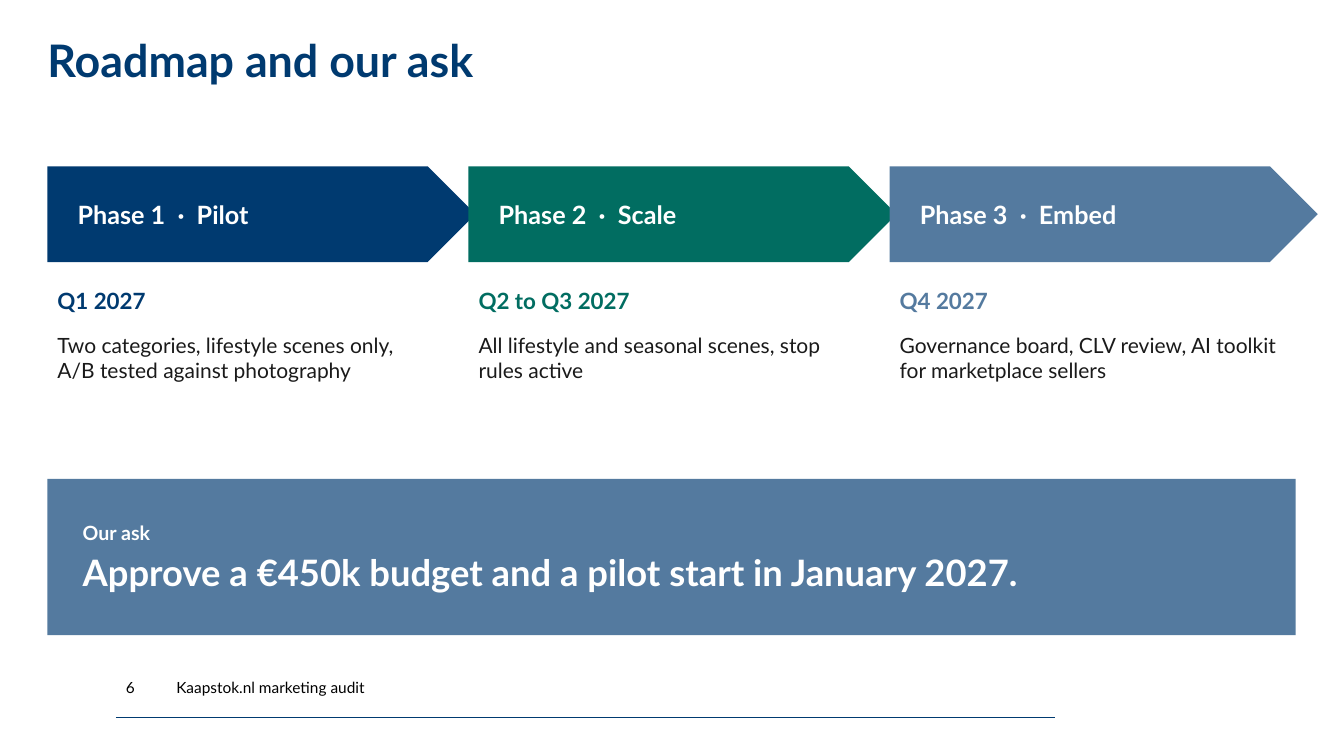
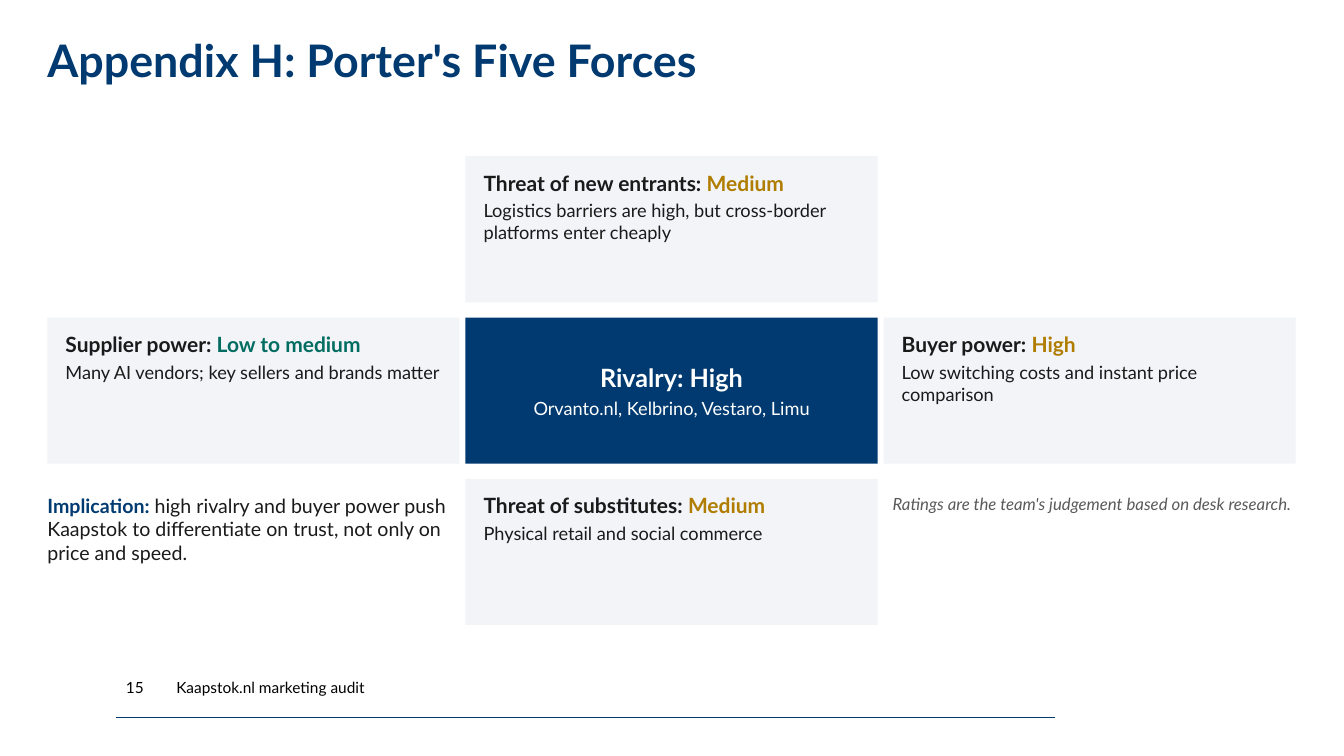
import pptx
import pptx.util
import pptx.dml.color
import pptx.enum.shapes
import pptx.enum.text
import pptx.oxml.ns
import lxml.etree

PX = 9144
FONT = "Lato"
COLORS = {
    "navy": "003A70", "green": "016D61", "steel": "547A9F", "amber": "B07D00",
    "pale": "F2F4F8", "ink": "1A1A1A", "grey": "5A5A5A", "black": "000000",
    "white": "FFFFFF",
}
SHAPES = pptx.enum.shapes.MSO_SHAPE
TOP = pptx.enum.text.MSO_ANCHOR.TOP
MIDDLE = pptx.enum.text.MSO_ANCHOR.MIDDLE
LEFT = pptx.enum.text.PP_ALIGN.LEFT
CENTER = pptx.enum.text.PP_ALIGN.CENTER
FIT_NONE = pptx.enum.text.MSO_AUTO_SIZE.NONE
FIT_SHAPE = pptx.enum.text.MSO_AUTO_SIZE.SHAPE_TO_FIT_TEXT

MARGIN = 47
CONTENT_WIDTH = 1239


def px(*lengths):
    """Turn pixel lengths into EMU."""
    return [pptx.util.Emu(length * PX) for length in lengths]


def rgb(name):
    """Look up a palette colour."""
    return pptx.dml.color.RGBColor.from_string(COLORS[name])


def run(text, size, color, bold=False, italic=False):
    """Describe one run of text."""
    return text, size, color, bold, italic


def write(shape, paras, inset=(0, 0), anchor=TOP, align=LEFT, gap=0, fit=FIT_NONE):
    """Write paragraphs, each a list of runs, with a gap in points between them."""
    frame = shape.text_frame
    frame.word_wrap = True
    frame.auto_size = fit
    frame.vertical_anchor = anchor
    frame.margin_left = frame.margin_right = px(inset[0])[0]
    frame.margin_top = frame.margin_bottom = px(inset[1])[0]
    for index, runs in enumerate(paras):
        para = frame.add_paragraph() if index else frame.paragraphs[0]
        para.alignment = align
        if index < len(paras) - 1:
            para.space_after = pptx.util.Pt(gap)
        for text, size, color, bold, italic in runs:
            span = para.add_run()
            span.text = text
            span.font.name = FONT
            span.font.size = pptx.util.Pt(size)
            span.font.bold = bold
            span.font.italic = italic
            span.font.color.rgb = rgb(color)


def add_text(page, box, paras, **style):
    """Add a text box."""
    write(page.shapes.add_textbox(*px(*box)), paras, **style)


def add_note(page, box, runs):
    """Add a one-paragraph text box that grows with its text."""
    add_text(page, box, [runs], inset=(0, 5), fit=FIT_SHAPE)


def add_panel(page, box, fill, paras, kind=SHAPES.RECTANGLE, **style):
    """Add a flat filled shape with text."""
    panel = page.shapes.add_shape(kind, *px(*box))
    panel.shadow.inherit = False
    panel.fill.solid()
    panel.fill.fore_color.rgb = rgb(fill)
    panel.line.fill.background()
    write(panel, paras, **style)


def add_footer(page, box, number):
    """Add the page number, the deck name and the rule below them."""
    left, top, width, height = box
    rule = page.shapes.add_connector(
        pptx.enum.shapes.MSO_CONNECTOR.STRAIGHT,
        *px(left, top + height, left + width, top + height))
    rule.line.color.rgb = rgb("navy")
    rule.line.width = pptx.util.Pt(0.5)
    lxml.etree.SubElement(rule.element.spPr, pptx.oxml.ns.qn("a:effectLst"))
    for offset, span_width, text in ((60, 400, "Kaapstok.nl marketing audit"),
                                     (10, 50, str(number))):
        add_text(page, (left + offset, top, span_width, 40),
                 [[run(text, 11, "black")]], anchor=MIDDLE)


def add_page(deck, title, number):
    """Add a slide with the shared title and footer."""
    page = deck.slides.add_slide(deck.slide_layouts.get_by_name("Title Only"))
    heading = page.shapes.title
    heading.left, heading.top, heading.width, heading.height = px(
        MARGIN, 0, CONTENT_WIDTH, 125)
    write(heading, [[run(title, 32, "navy", bold=True)]], anchor=MIDDLE)
    heading.text_frame.paragraphs[0].line_spacing = 0.9
    add_footer(page, (115, 662, 932, 50), number)
    return page


def add_phase(page, box, color, name, period, detail):
    """Add a roadmap arrow with its period and detail below."""
    left, top, width, height = box
    add_panel(page, (left, top, width, 95), color,
              [[run(name, 18, "white", bold=True)]],
              kind=SHAPES.PENTAGON, inset=(30, 24), anchor=MIDDLE)
    add_note(page, (left + 10, top + 115, width - 45, 45),
             [run(period, 16, color, bold=True)])
    add_note(page, (left + 10, top + 160, width - 50, height - 160),
             [run(detail, 15, "ink")])


def add_roadmap(page, box):
    """Add the three phases, each starting just before the last one ends."""
    left, top, width, height = box
    phases = [
        ("navy", "Phase 1  ·  Pilot", "Q1 2027",
         "Two categories, lifestyle scenes only, A/B tested against photography"),
        ("green", "Phase 2  ·  Scale", "Q2 to Q3 2027",
         "All lifestyle and seasonal scenes, stop rules active"),
        ("steel", "Phase 3  ·  Embed", "Q4 2027",
         "Governance board, CLV review, AI toolkit for marketplace sellers"),
    ]
    overlap = 7
    arrow = (width + overlap * (len(phases) - 1)) // len(phases)
    for index, phase in enumerate(phases):
        add_phase(page, (left + index * (arrow - overlap), top, arrow, height), *phase)


def add_ask(page, box):
    """Add the banner with the request."""
    add_panel(page, box, "steel", [
        [run("Our ask", 14, "white", bold=True)],
        [run("Approve a €450k budget and a pilot start in January 2027.", 26,
             "white", bold=True)],
    ], inset=(35, 28), anchor=MIDDLE, gap=4)


def add_forces(page, box):
    """Add the five forces as a cross on a three by three grid."""
    left, top, width, height = box
    gap_x, gap_y = 6, 15
    card_width = (width - 2 * gap_x) // 3
    card_height = (height - 2 * gap_y) // 3

    def cell(column, row):
        """Give the box of one grid cell."""
        return (left + column * (card_width + gap_x),
                top + row * (card_height + gap_y), card_width, card_height)

    forces = [
        (1, 0, "Threat of new entrants: ", "Medium", "amber",
         "Logistics barriers are high, but cross-border platforms enter cheaply"),
        (0, 1, "Supplier power: ", "Low to medium", "green",
         "Many AI vendors; key sellers and brands matter"),
        (2, 1, "Buyer power: ", "High", "amber",
         "Low switching costs and instant price comparison"),
        (1, 2, "Threat of substitutes: ", "Medium", "amber",
         "Physical retail and social commerce"),
    ]
    for column, row, force, rating, color, reason in forces:
        add_panel(page, cell(column, row), "pale", [
            [run(force, 15, "ink", bold=True), run(rating, 15, color, bold=True)],
            [run(reason, 13, "ink")],
        ], inset=(18, 14), gap=3)
    add_panel(page, cell(1, 1), "navy", [
        [run("Rivalry: High", 18, "white", bold=True)],
        [run("Orvanto.nl, Kelbrino, Vestaro, Limu", 13, "white")],
    ], inset=(18, 14), anchor=MIDDLE, align=CENTER, gap=3)


def add_remarks(page, box):
    """Add the implication on the left and the source remark on the right."""
    left, top, width, height = box
    column = 400
    add_note(page, (left, top, column, height), [
        run("Implication: ", 14, "navy", bold=True),
        run("high rivalry and buyer power push Kaapstok to differentiate on trust, "
            "not only on price and speed.", 14, "ink")])
    add_note(page, (left + width - column, top, column, height), [
        run("Ratings are the team's judgement based on desk research.", 12,
            "grey", italic=True)])


def main():
    """Build and save the deck."""
    deck = pptx.Presentation()
    deck.slide_width, deck.slide_height = px(1334, 750)

    roadmap = add_page(deck, "Roadmap and our ask", 6)
    add_roadmap(roadmap, (MARGIN, 165, 1261, 280))
    add_ask(roadmap, (MARGIN, 475, CONTENT_WIDTH, 155))

    forces = add_page(deck, "Appendix H: Porter's Five Forces", 15)
    add_forces(forces, (MARGIN, 155, CONTENT_WIDTH, 465))
    add_remarks(forces, (MARGIN, 485, CONTENT_WIDTH, 150))

    deck.save("out.pptx")


if __name__ == "__main__":
    main()
